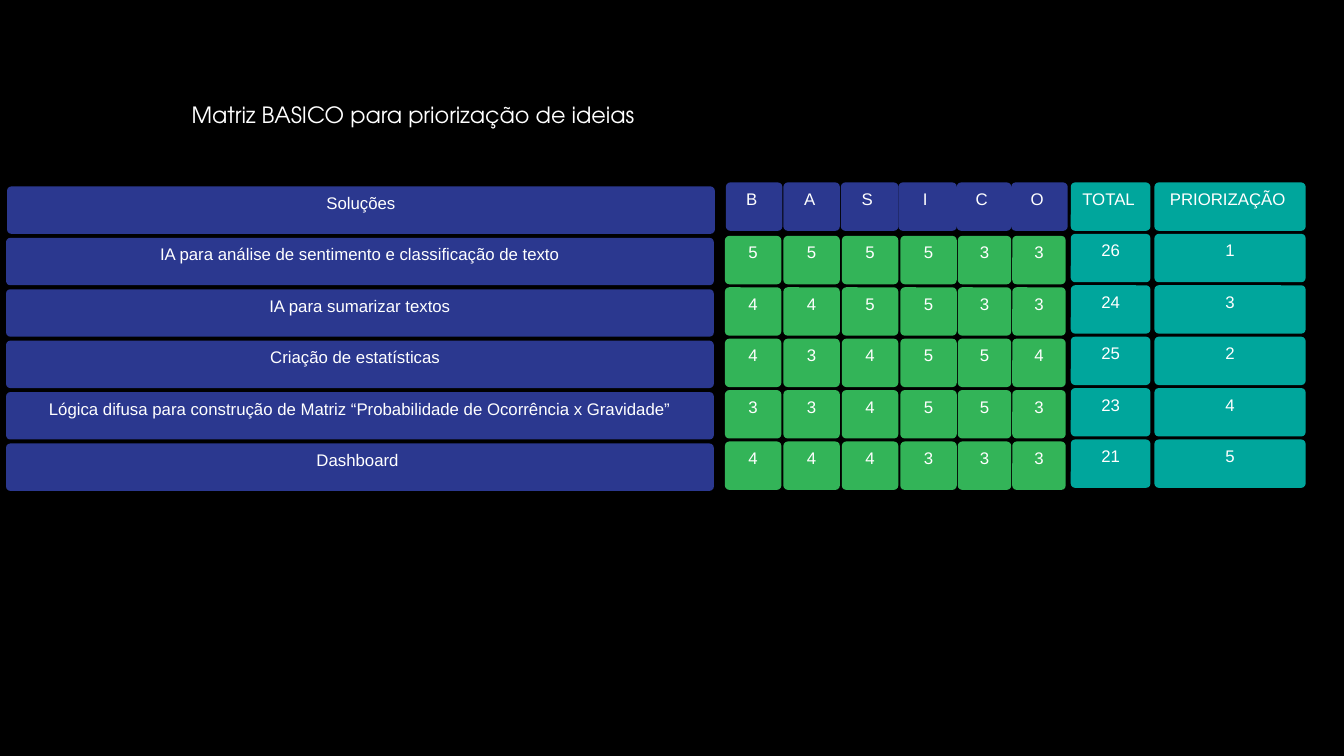
from pptx import Presentation
from pptx.dml.color import RGBColor
from pptx.enum.shapes import MSO_SHAPE
from pptx.enum.text import MSO_ANCHOR, PP_ALIGN
from pptx.util import Inches, Pt

ROUNDED = MSO_SHAPE.ROUNDED_RECTANGLE
CENTER = PP_ALIGN.CENTER
TOP = MSO_ANCHOR.TOP

BLACK, WHITE = "000000", "FFFFFF"
BLUE, GREEN, TEAL = "2B388F", "33B458", "00A69C"

HEADER_TOP = 1.81
ROW_PITCH = 0.51
CELL_HEIGHT = 0.48

# Left edge and width of each criterion column
header_columns = [(7.2, 0.56), (7.77, 0.56), (8.34, 0.57),
                  (8.91, 0.58), (9.49, 0.54), (10.03, 0.56)]
score_columns = [(7.19, 0.56), (7.77, 0.56), (8.35, 0.56),
                 (8.93, 0.56), (9.5, 0.53), (10.04, 0.53)]
total_column = (10.62, 0.79)
priority_column = (11.45, 1.5)

solutions = [
    ("IA para análise de sentimento e classificação de texto", [5, 5, 5, 5, 3, 3]),
    ("IA para sumarizar textos", [4, 4, 5, 5, 3, 3]),
    ("Criação de estatísticas  ", [4, 3, 4, 5, 5, 4]),
    ("Lógica difusa para construção de Matriz “Probabilidade de Ocorrência x Gravidade”",
     [3, 3, 4, 5, 5, 3]),
    ("Dashboard ", [4, 4, 4, 3, 3, 3]),
]


def color(value):
    return RGBColor.from_string(value)


def add_cell(text, column, top, fill, height=CELL_HEIGHT):
    """Add a rounded cell; column is its left edge and width in inches."""
    left, width = column
    box = page.shapes.add_shape(ROUNDED, Inches(left), Inches(top),
                                Inches(width), Inches(height))
    box.adjustments[0] = 0.09
    box.shadow.inherit = False
    box.fill.solid()
    box.fill.fore_color.rgb = color(fill)
    box.line.fill.background()
    frame = box.text_frame
    frame.word_wrap = True
    frame.vertical_anchor = TOP
    frame.text = str(text)
    para = frame.paragraphs[0]
    para.alignment = CENTER
    font = para.runs[0].font
    font.name, font.size = "Arial", Pt(12)
    font.color.rgb = color(WHITE)


deck = Presentation()
deck.slide_width, deck.slide_height = Inches(13.33), Inches(7.5)
page = deck.slides.add_slide(deck.slide_layouts[6])
page.background.fill.solid()
page.background.fill.fore_color.rgb = color(BLACK)

title = page.shapes.add_textbox(Inches(1.74), Inches(0.95), Inches(5.11), Inches(0.36))
title.text_frame.word_wrap = True
title.text_frame.text = " Matriz BASICO para priorização de ideias"
title_font = title.text_frame.paragraphs[0].runs[0].font
title_font.name, title_font.size = "TeX Gyre Adventor", Pt(16)
title_font.color.rgb = color(WHITE)

# Header row
add_cell("Soluções", (0.07, 7.02), 1.85, BLUE, 0.47)
for letter, column in zip("BASICO", header_columns):
    add_cell(letter + " ", column, HEADER_TOP, BLUE)
add_cell("TOTAL ", total_column, HEADER_TOP, TEAL)
add_cell("PRIORIZAÇÃO ", priority_column, HEADER_TOP, TEAL)

# One row per solution, ranked by its total score
ranking = sorted((sum(scores) for name, scores in solutions), reverse=True)
for row, (name, scores) in enumerate(solutions):
    offset = row * ROW_PITCH
    total = sum(scores)
    add_cell(name, (0.06, 7.02), 2.36 + offset, BLUE, 0.47)
    for score, column in zip(scores, score_columns):
        add_cell(score, column, 2.34 + offset, GREEN)
    add_cell(total, total_column, 2.32 + offset, TEAL)
    add_cell(ranking.index(total) + 1, priority_column, 2.32 + offset, TEAL)

deck.save("out.pptx")
